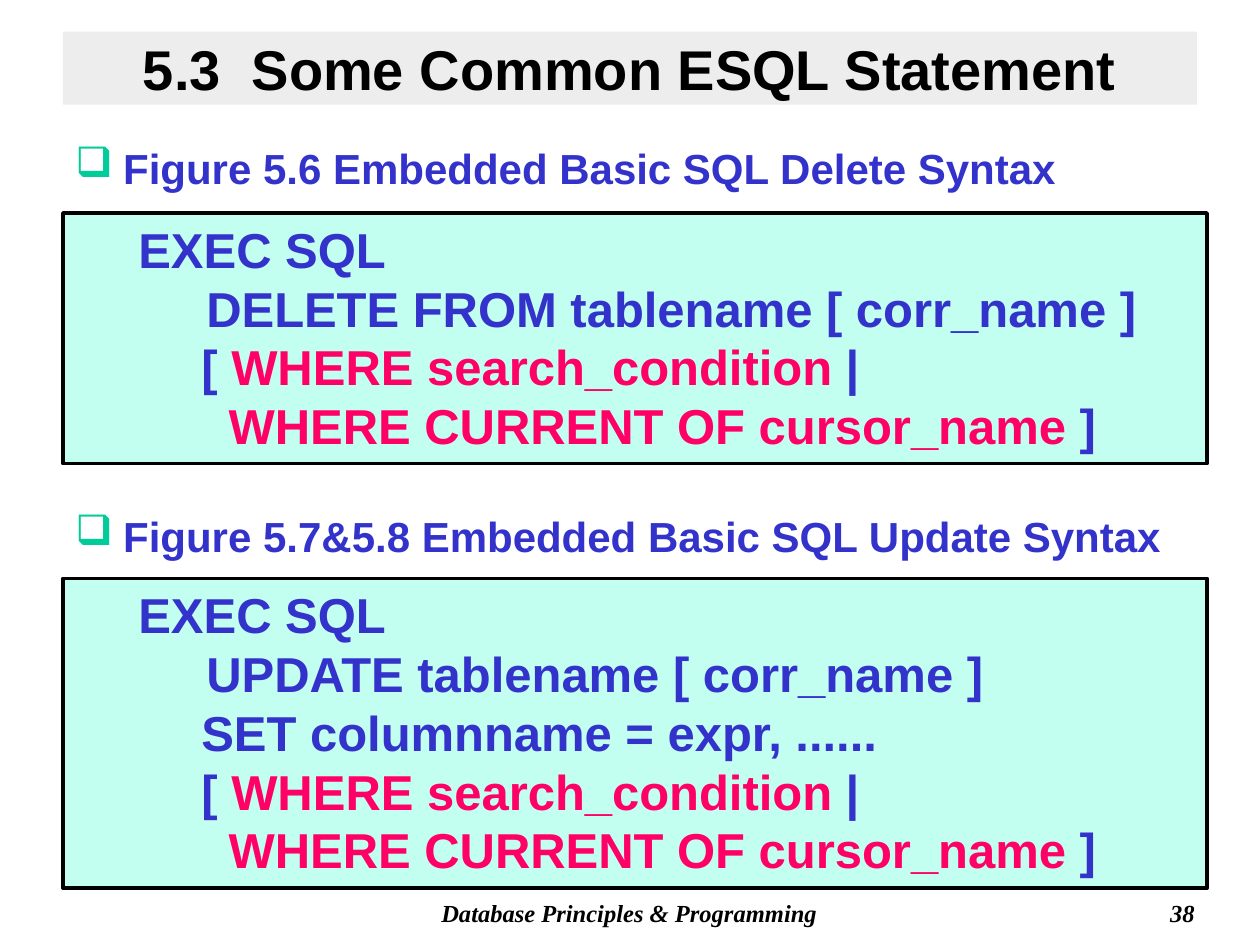
from dataclasses import dataclass

from lxml import etree
from pptx import Presentation
from pptx.dml.color import RGBColor
from pptx.enum import shapes, text
from pptx.oxml import ns
from pptx.util import Inches, Pt


@dataclass(frozen=True)
class Theme:
    ink: str = "000000"
    body: str = "3333CC"
    clause: str = "FF0066"
    bullet: str = "00CC99"
    banner: str = "DDDDDD"
    panel: str = "C2FFF0"
    sans: str = "Arial"
    serif: str = "Times New Roman"
    title_size: int = 32
    heading_size: int = 24
    code_size: int = 28
    footer_size: int = 14


THEME = Theme()
LEFT, WIDTH, PANEL_WIDTH = 0.5, 9, 9.08


def add_ppr_child(paragraph, tag, **attributes):
    properties = paragraph._p.get_or_add_pPr()
    return etree.SubElement(properties, ns.qn(tag), **attributes)


def write(paragraph, runs, *, size, color, font=THEME.sans, italic=False,
          align=text.PP_ALIGN.LEFT, indent=0, hanging=0, bullet=None):
    """Fill a paragraph; runs are (words, colour) pairs, None being the default colour."""
    properties = paragraph._p.get_or_add_pPr()
    properties.set("marL", str(Inches(indent)))
    properties.set("indent", str(-Inches(hanging)))
    if bullet:
        bullet_color = add_ppr_child(paragraph, "a:buClr")
        etree.SubElement(bullet_color, ns.qn("a:srgbClr"), val=THEME.bullet)
        add_ppr_child(paragraph, "a:buChar", char=bullet)
    paragraph.alignment = align
    for words, run_color in runs:
        run = paragraph.add_run()
        run.text = words
        run.font.name = font
        run.font.size = Pt(size)
        run.font.bold = True
        run.font.italic = italic
        run.font.color.rgb = RGBColor.from_string(run_color or color)


class SlideBuilder:
    def __init__(self, slide, theme):
        self.slide = slide
        self.theme = theme

    def frame(self, shape, anchor=text.MSO_ANCHOR.TOP):
        frame = shape.text_frame
        frame.word_wrap = True
        frame.auto_size = text.MSO_AUTO_SIZE.NONE
        frame.vertical_anchor = anchor
        return frame

    def rectangle(self, top, width, height, fill):
        shape = self.slide.shapes.add_shape(
            shapes.MSO_SHAPE.RECTANGLE, Inches(LEFT), Inches(top),
            Inches(width), Inches(height))
        shape.shadow.inherit = False
        shape.fill.solid()
        shape.fill.fore_color.rgb = RGBColor.from_string(fill)
        return shape

    def title(self, words):
        banner = self.rectangle(0.25, WIDTH, 0.58, self.theme.banner)
        banner.line.fill.background()
        fill_color = banner._element.spPr.find(".//" + ns.qn("a:srgbClr"))
        etree.SubElement(fill_color, ns.qn("a:alpha"), val="50000")
        frame = self.frame(banner, text.MSO_ANCHOR.MIDDLE)
        write(frame.paragraphs[0], [(words, None)], size=self.theme.title_size,
              color=self.theme.ink, align=text.PP_ALIGN.CENTER)

    def label(self, words, left, top, width, height, **style):
        box = self.slide.shapes.add_textbox(
            Inches(left), Inches(top), Inches(width), Inches(height))
        write(self.frame(box).paragraphs[0], [(words, None)], **style)

    def heading(self, words, top):
        self.label(words, LEFT, top, WIDTH, 0.5, size=self.theme.heading_size,
                   color=self.theme.body, indent=0.38, hanging=0.38, bullet="❑")

    def footer(self, words, left, width, align):
        self.label(words, left, 7.08, width, 0.33, size=self.theme.footer_size,
                   color=self.theme.ink, font=self.theme.serif, italic=True,
                   align=align)

    def code_panel(self, lines, top, height):
        """Draw a framed panel; lines are (indent, runs) pairs."""
        panel = self.rectangle(top, PANEL_WIDTH, height, self.theme.panel)
        panel.line.color.rgb = RGBColor.from_string(self.theme.ink)
        panel.line.width = Pt(2)
        frame = self.frame(panel)
        for number, (indent, runs) in enumerate(lines):
            paragraph = frame.add_paragraph() if number else frame.paragraphs[0]
            write(paragraph, runs, size=self.theme.code_size,
                  color=self.theme.body, indent=indent)


def statement(command, *clauses):
    """Lines of an embedded statement ending with the optional WHERE forms."""
    return [
        (0.5, [("EXEC SQL", None)]),
        (0.5, [("     " + command, None)]),
        *[(1, [(clause, None)]) for clause in clauses],
        (1, [("[ ", None), ("WHERE search_condition", THEME.clause), (" |", None)]),
        (1, [("  ", None), ("WHERE CURRENT OF cursor_name", THEME.clause),
             (" ]", None)]),
    ]


def main():
    deck = Presentation()
    deck.slide_width, deck.slide_height = Inches(10), Inches(7.5)
    builder = SlideBuilder(deck.slides.add_slide(deck.slide_layouts[6]), THEME)

    builder.footer("Database Principles & Programming", 2.83, 4.33,
                   text.PP_ALIGN.CENTER)
    builder.footer("38", 7.5, 2.08, text.PP_ALIGN.RIGHT)
    builder.title("5.3  Some Common ESQL Statement")

    builder.heading("Figure 5.6 Embedded Basic SQL Delete Syntax", 1.08)
    builder.code_panel(statement("DELETE FROM tablename [ corr_name ]"), 1.69, 1.99)

    builder.heading("Figure 5.7&5.8 Embedded Basic SQL Update Syntax", 4)
    builder.code_panel(
        statement("UPDATE tablename [ corr_name ]", "SET columnname = expr, ......"),
        4.59, 2.46)

    deck.save("out.pptx")


if __name__ == "__main__":
    main()
